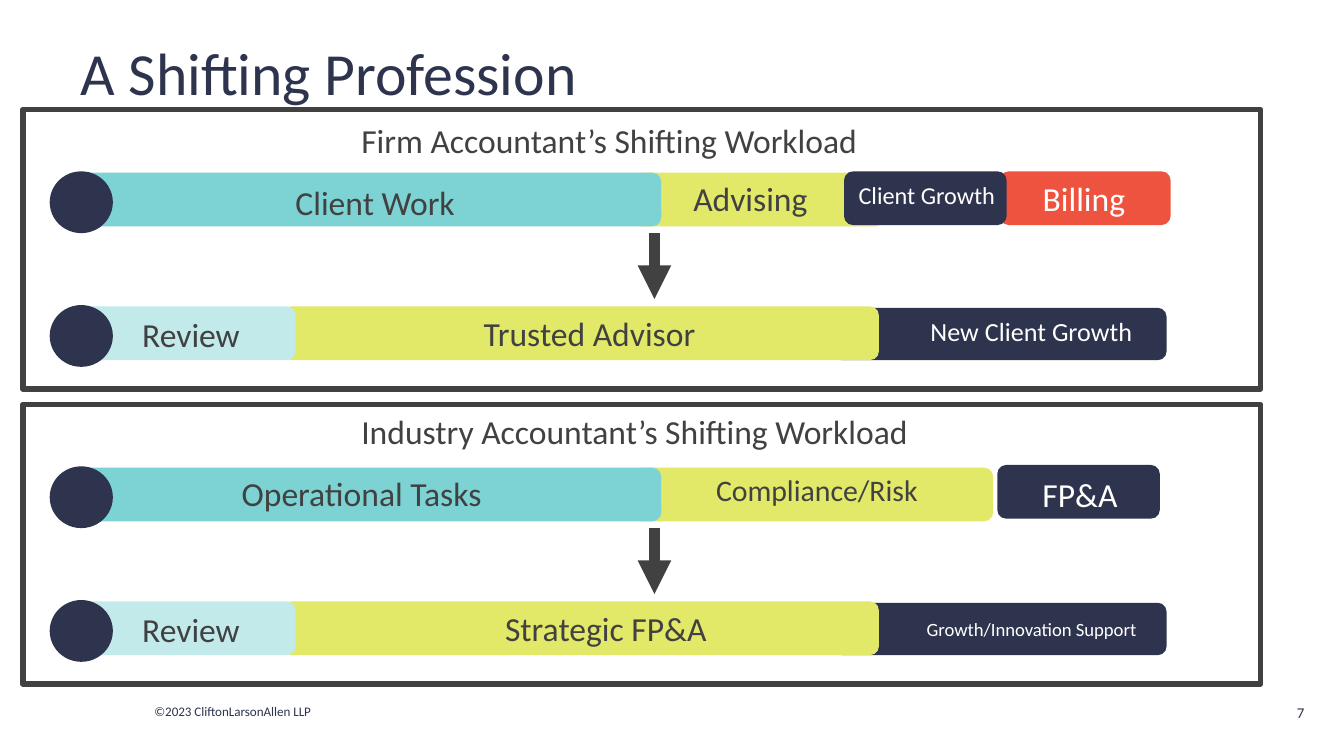
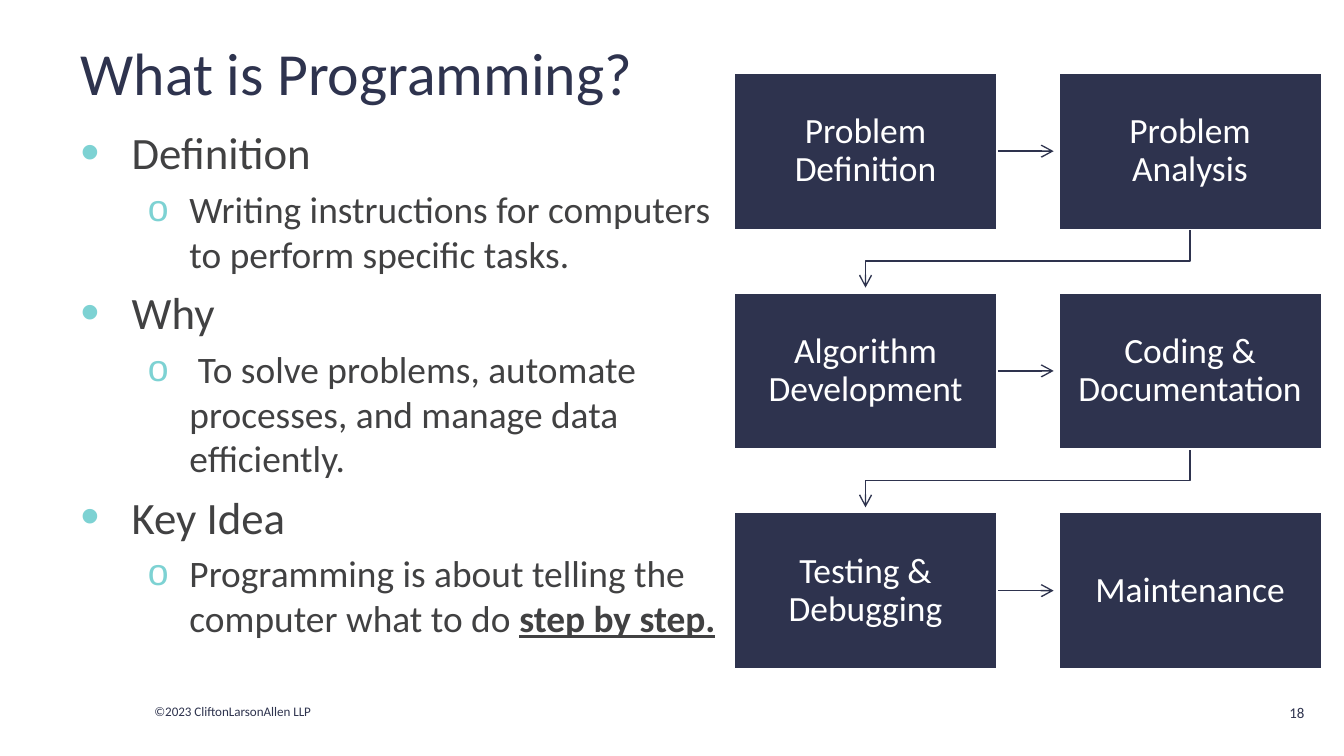
from collections import namedtuple

from lxml import etree
from pptx import Presentation
from pptx.dml.color import RGBColor
from pptx.enum.shapes import MSO_CONNECTOR, MSO_SHAPE
from pptx.enum.text import MSO_ANCHOR, MSO_AUTO_SIZE, PP_ALIGN
from pptx.oxml.ns import qn
from pptx.util import Inches, Pt

RECT = MSO_SHAPE.RECTANGLE
ROUND_RECT = MSO_SHAPE.ROUNDED_RECTANGLE
DISC = MSO_SHAPE.FLOWCHART_CONNECTOR
STRAIGHT = MSO_CONNECTOR.STRAIGHT
LEFT, CENTER, RIGHT = PP_ALIGN.LEFT, PP_ALIGN.CENTER, PP_ALIGN.RIGHT
TOP, MIDDLE = MSO_ANCHOR.TOP, MSO_ANCHOR.MIDDLE
NO_FIT = MSO_AUTO_SIZE.NONE

FONT = "Calibri"
NAVY, GRAY, WHITE = "2E334E", "414142", "FFFFFF"
TEAL, PALE_TEAL, LIME, CORAL = "7DD2D3", "C2EAEA", "E2E868", "EE5340"

COLS, ROWS = 1000, 562.5
SLIDE_W = Inches(10)
SLIDE_H = SLIDE_W * 9 // 16

Box = namedtuple("Box", "col row cols rows")
Label = namedtuple("Label", "text box size color align")

TITLE = Box(50, 16, 900, 75)
BODY = Box(50, 88, 510, 402)
COPYRIGHT = Box(105, 518.5, 151, 22)
PAGE_NUMBER = Box(937.5, 511, 43, 38)
PANELS = [Box(17, 81.5, 921, 208), Box(17, 301, 921, 208)]
FLOW = Box(545.5, 53.5, 438.5, 445)

FUTURE_BARS = [
    (NAVY, Box(583, 2, 248, 39)),
    (LIME, Box(173, 1, 444, 40)),
    (PALE_TEAL, Box(23, 1, 160, 40)),
]
CORE_BAR = (TEAL, Box(23, 1, 432, 40))
REVIEW = Label("Review", Box(59, 2, 102, 40), 18, GRAY, LEFT)

FIRM_TRACKS = [
    ([(CORAL, Box(707, 0, 127, 40)), (LIME, Box(434, 1, 187, 40)),
      CORE_BAR, (NAVY, Box(591, 0, 121, 40))],
     [Label("Client Work", Box(173, 3, 148, 40), 18, GRAY, LEFT),
      Label("Advising", Box(469, 0, 108, 40), 18, GRAY, LEFT),
      Label("Client Growth", Box(588, 2, 129, 32), 13, WHITE, CENTER),
      Label("Billing", Box(720, 0, 99, 40), 18, WHITE, CENTER)]),
    (FUTURE_BARS,
     [REVIEW,
      Label("Trusted Advisor", Box(313, 1, 201, 40), 18, GRAY, LEFT),
      Label("New Client Growth", Box(639, 3, 183, 34), 14, WHITE, CENTER)]),
]
INDUSTRY_TRACKS = [
    ([(LIME, Box(434, 1, 268, 40)), CORE_BAR, (NAVY, Box(705, -1, 121, 40))],
     [Label("Operational Tasks", Box(133, 0, 214, 40), 18, GRAY, LEFT),
      Label("Compliance/Risk", Box(486, -1, 203, 37), 16, GRAY, LEFT),
      Label("FP&A", Box(702, 1, 129, 40), 18, WHITE, CENTER)]),
    (FUTURE_BARS,
     [REVIEW,
      Label("Strategic FP&A", Box(329, 1, 208, 40), 18, GRAY, LEFT),
      Label("Growth/Innovation Support", Box(639, 8, 183, 27), 10, WHITE, CENTER)]),
]

OUTLINE = [
    (0, ["Definition"]),
    (1, ["Writing instructions for computers to perform specific tasks."]),
    (0, ["Why"]),
    (1, [" To solve problems, automate processes, and manage data efficiently."]),
    (0, ["Key Idea"]),
    (1, ["Programming is about telling the computer what to do ", "step by step."]),
]
STEPS = [
    ("Problem Definition", "Problem Analysis"),
    ("Algorithm Development", "Coding & Documentation"),
    ("Testing & Debugging", "Maintenance"),
]


def rgb(color):
    return RGBColor.from_string(color)


def x_at(col):
    return round(SLIDE_W * col / COLS)


def y_at(row):
    return round(SLIDE_H * row / ROWS)


def frame(box):
    return x_at(box.col), y_at(box.row), x_at(box.cols), y_at(box.rows)


def within(parent, box):
    return Box(parent.col + box.col, parent.row + box.row, box.cols, box.rows)


def move(sp, box):
    sp.left, sp.top, sp.width, sp.height = frame(box)


def add_run(p, text, size, color):
    r = p.add_run()
    r.text = text
    r.font.name = FONT
    r.font.size = Pt(size)
    r.font.color.rgb = rgb(color)
    return r


def write(tf, text, size, color, align=LEFT, anchor=TOP):
    tf.word_wrap = True
    tf.auto_size = NO_FIT
    tf.vertical_anchor = anchor
    p = tf.paragraphs[0]
    p.alignment = align
    add_run(p, text, size, color)


def add_text(shapes, box, *style):
    write(shapes.add_textbox(*frame(box)).text_frame, *style)


def add_block(shapes, kind, box, fill=None, line=None, width=0):
    sp = shapes.add_shape(kind, *frame(box))
    sp.shadow.inherit = False
    if fill:
        sp.fill.solid()
        sp.fill.fore_color.rgb = rgb(fill)
    else:
        sp.fill.background()
    if line:
        sp.line.color.rgb = rgb(line)
        sp.line.width = Pt(width)
    else:
        sp.line.fill.background()
    return sp


def style_arrow(line, color, width, head):
    line.color.rgb = rgb(color)
    line.width = Pt(width)
    etree.SubElement(line._get_or_add_ln(), qn("a:tailEnd"), type=head)


def add_arrow(shapes, start, end, color, width, head):
    cxn = shapes.add_connector(STRAIGHT, x_at(start[0]), y_at(start[1]),
                               x_at(end[0]), y_at(end[1]))
    style_arrow(cxn.line, color, width, head)
    etree.SubElement(cxn._element.spPr, qn("a:effectLst"))
    return cxn


def add_elbow(shapes, points, color, width, head):
    corners = [(x_at(col), y_at(row)) for col, row in points]
    builder = shapes.build_freeform(*corners[0])
    builder.add_line_segments(corners[1:], close=False)
    sp = builder.convert_to_shape()
    sp.shadow.inherit = False
    sp.fill.background()
    style_arrow(sp.line, color, width, head)


def add_slide(prs, layout, title, number):
    s = prs.slides.add_slide(prs.slide_layouts.get_by_name(layout))
    move(s.shapes.title, TITLE)
    write(s.shapes.title.text_frame, title, 32, NAVY, LEFT, MIDDLE)
    add_text(s.shapes, COPYRIGHT, "©2023 CliftonLarsonAllen LLP", 7, NAVY, LEFT, MIDDLE)
    add_text(s.shapes, PAGE_NUMBER, number, 8, NAVY, RIGHT, MIDDLE)
    return s


def add_track(shapes, box, bars, labels):
    group = shapes.add_group_shape().shapes
    for color, bar in bars:
        add_block(group, ROUND_RECT, within(box, bar), color)
    add_block(group, DISC, within(box, Box(0, 0, 47, 46)), NAVY)
    for label in labels:
        add_text(group, within(box, label.box), label.text, label.size,
                 label.color, label.align)


def add_panel(shapes, box, heading, heading_row, tracks):
    for i, (bars, labels) in enumerate(tracks):
        track = Box(20, 46 + 99.5 * i, 834, 46)
        add_track(shapes, within(box, track), bars, labels)
    arrow_col = box.col + 470
    add_arrow(shapes, (arrow_col, box.row + 92), (arrow_col, box.row + 141),
              GRAY, 6, "triangle")
    add_text(shapes, within(box, Box(242, heading_row, 432, 40)), heading, 18, GRAY)
    add_block(shapes, RECT, box, line=GRAY, width=3)


def set_bullet(p, level):
    char, indent, hang = [("•", 0.38, 0.38), ("o", 0.81, 0.31)][level]
    pPr = p._p.get_or_add_pPr()
    pPr.set("marL", str(Inches(indent)))
    pPr.set("indent", str(-Inches(hang)))
    etree.SubElement(etree.SubElement(pPr, qn("a:buClr")), qn("a:srgbClr"), val=TEAL)
    if level == 0:
        etree.SubElement(pPr, qn("a:buSzPct"), val="120000")
    etree.SubElement(pPr, qn("a:buChar"), char=char)


def add_outline(body, box):
    move(body, box)
    tf = body.text_frame
    tf.auto_size = NO_FIT
    for i, (level, texts) in enumerate(OUTLINE):
        p = tf.add_paragraph() if i else tf.paragraphs[0]
        p.level = level
        set_bullet(p, level)
        if i == 0:
            p.space_before = Pt(0)
        for j, text in enumerate(texts):
            r = add_run(p, text, 20 if level else 24, GRAY)
            if j:
                r.font.bold = r.font.underline = True


def add_step(shapes, box, text):
    sp = add_block(shapes, RECT, box, NAVY, WHITE, 2)
    tf = sp.text_frame
    tf.margin_left = tf.margin_right = tf.margin_top = tf.margin_bottom = Inches(0.15)
    write(tf, text, 19, WHITE, CENTER, MIDDLE)
    tf.paragraphs[0].line_spacing = 0.9
    return sp


def add_flow(shapes, box):
    cols, rows, tip_gap = 197, 118, 3
    col_pitch = box.cols - cols
    row_pitch = (box.rows - rows) / (len(STEPS) - 1)
    for i, pair in enumerate(STEPS):
        top = i * row_pitch
        left_box, right_box = [within(box, Box(j * col_pitch, top, cols, rows))
                               for j in range(2)]
        left_step = add_step(shapes, left_box, pair[0])
        add_step(shapes, right_box, pair[1])
        middle = left_box.row + rows / 2
        cxn = add_arrow(shapes, (left_box.col + cols, middle),
                        (right_box.col - tip_gap, middle), NAVY, 0.75, "arrow")
        cxn.begin_connect(left_step, 3)
        if i < len(STEPS) - 1:
            start, end = right_box.col + cols / 2, left_box.col + cols / 2
            bottom, below = left_box.row + rows, left_box.row + row_pitch
            turn = (bottom + below) / 2
            add_elbow(shapes, [(start, bottom), (start, turn), (end, turn),
                               (end, below - tip_gap)], NAVY, 0.75, "arrow")


def main():
    prs = Presentation()
    prs.slide_width, prs.slide_height = SLIDE_W, SLIDE_H

    s = add_slide(prs, "Title Only", "A Shifting Profession", "7")
    add_panel(s.shapes, PANELS[0], "Firm Accountant’s Shifting Workload", 2.5, FIRM_TRACKS)
    add_panel(s.shapes, PANELS[1], "Industry Accountant’s Shifting Workload", 0,
              INDUSTRY_TRACKS)

    s = add_slide(prs, "Title and Content", "What is Programming?", "18")
    add_outline(s.placeholders[1], BODY)
    add_flow(s.shapes, FLOW)

    prs.save("out.pptx")


if __name__ == "__main__":
    main()
